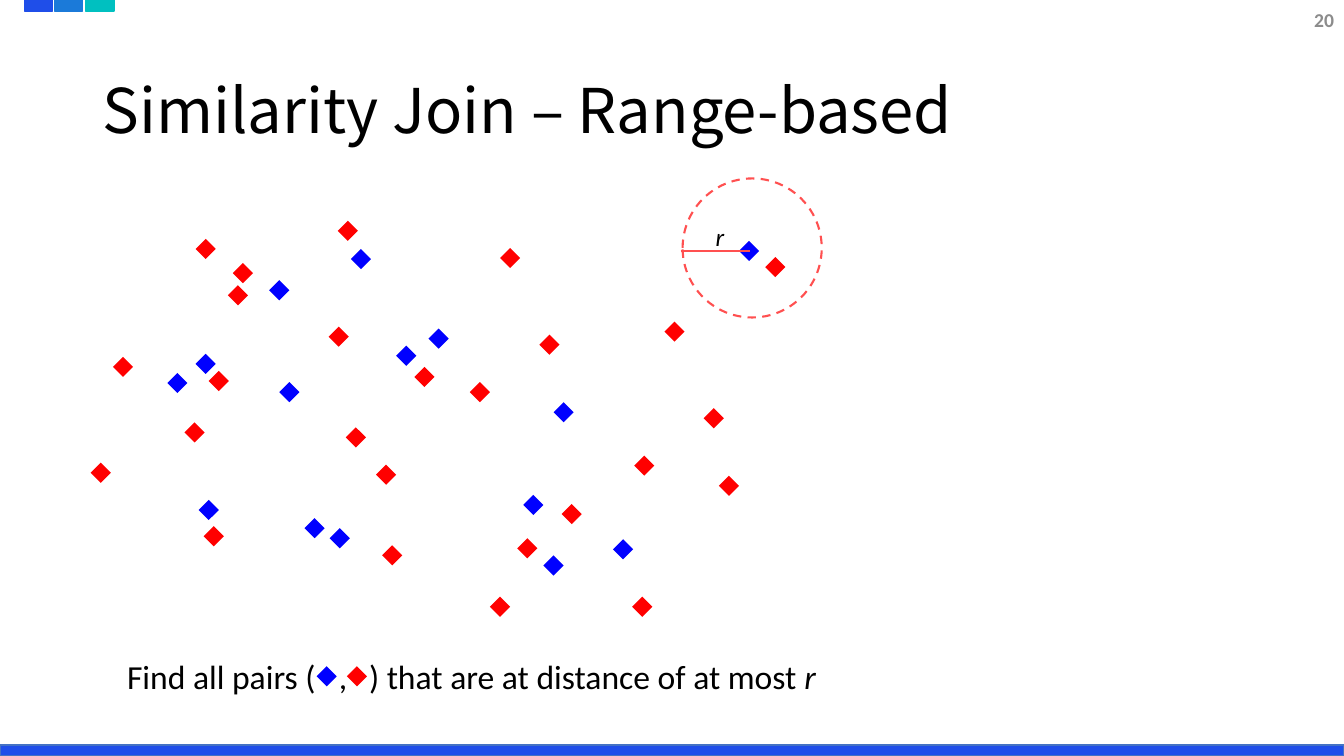
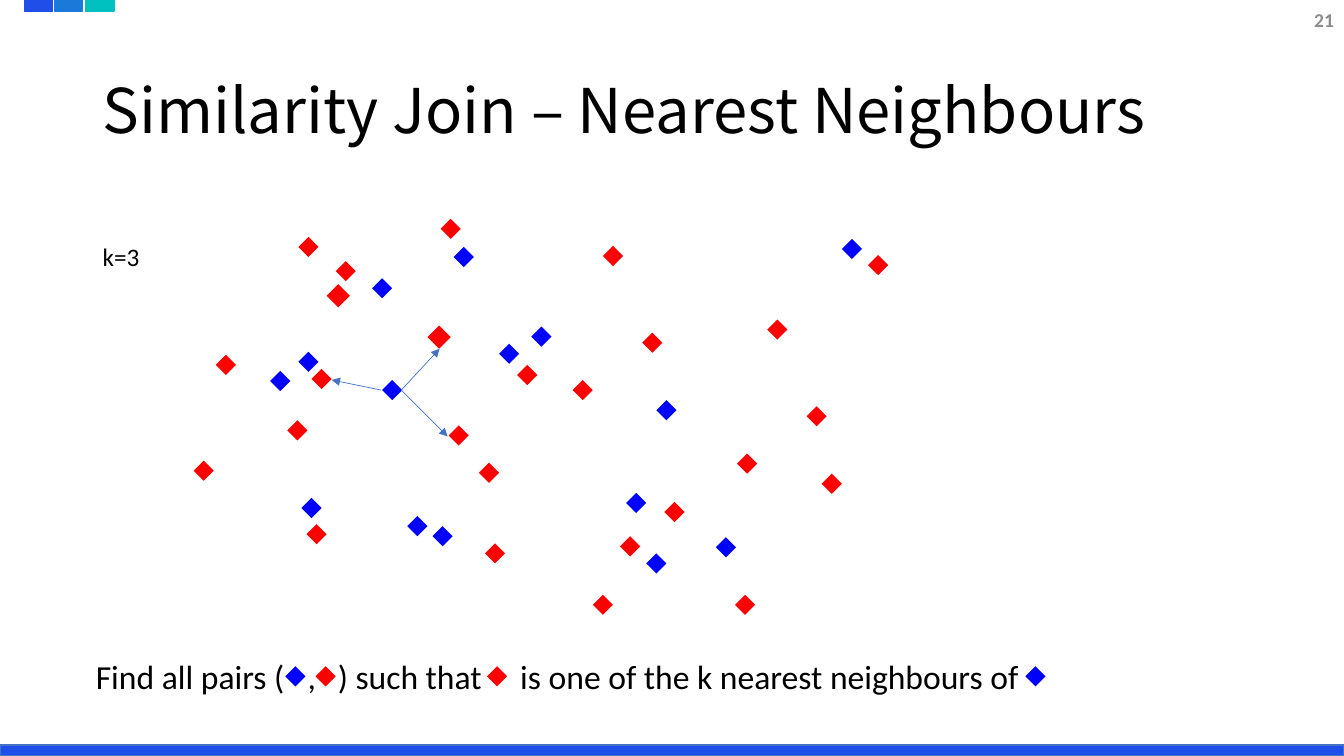
from lxml import etree
from pptx import Presentation
from pptx.dml.color import RGBColor
from pptx.enum.dml import MSO_LINE
from pptx.enum.shapes import MSO_CONNECTOR, MSO_SHAPE
from pptx.enum.text import MSO_ANCHOR, MSO_AUTO_SIZE, PP_ALIGN
from pptx.oxml.ns import qn
from pptx.util import Inches, Pt

RECT, DIAMOND, CIRCLE = MSO_SHAPE.RECTANGLE, MSO_SHAPE.DIAMOND, MSO_SHAPE.OVAL
STRAIGHT, DASH = MSO_CONNECTOR.STRAIGHT, MSO_LINE.DASH
TOP, MIDDLE = MSO_ANCHOR.TOP, MSO_ANCHOR.MIDDLE
LEFT, RIGHT = PP_ALIGN.LEFT, PP_ALIGN.RIGHT
GROW = MSO_AUTO_SIZE.SHAPE_TO_FIT_TEXT

COLORS = {
    "text": "000000", "number": "8C8C8C",
    "band": "1F4EE9", "band_edge": "4472C4", "mid_tab": "1B7AD9", "teal_tab": "00C0C0",
    "red": "FF0000", "blue": "0000FF", "range": "FF5050", "arrow": "4472C4",
}
TITLE_FONT, BODY_FONT = "Noto Sans CJK KR", "Calibri"

# Shared bands: place, fill, edge
BANDS = [
    ((0, 7.39, 13.33, 0.11), "band", "band_edge"),
    ((0.24, 0, 0.28, 0.11), "band", "band"),
    ((0.54, 0, 0.28, 0.11), "mid_tab", "mid_tab"),
    ((0.85, 0, 0.28, 0.11), "teal_tab", "teal_tab"),
]

# Scatter of the two sets: left and top of each marker
MARKER = 0.2
POINTS = {
    "red": [
        (1.12, 3.54), (1.83, 4.19), (0.9, 4.59), (4.11, 3.64), (3.35, 2.19),
        (2.02, 5.22), (2.07, 3.68), (2.26, 2.83), (5.13, 5.34), (3.79, 5.41),
        (3.73, 4.61), (1.94, 2.37), (2.31, 2.61), (3.26, 3.24), (3.43, 4.24),
        (4.86, 5.92), (4.66, 3.79), (4.96, 2.46), (5.57, 5), (5.35, 3.32),
        (6.27, 5.92), (7.13, 4.72), (6.29, 4.52), (6.59, 3.19), (6.98, 4.05),
        (7.59, 2.55),
    ],
    "blue": [
        (1.66, 3.7), (1.97, 4.96), (3.02, 5.14), (2.67, 2.78), (5.49, 3.99),
        (3.48, 2.47), (1.94, 3.51), (3.93, 3.43), (2.77, 3.79), (3.27, 5.24),
        (4.25, 3.26), (5.39, 5.51), (5.19, 4.91), (6.08, 5.35), (7.33, 2.39),
    ],
}

# Captions: tabs leave room for the inline markers
CAPTION_TOP, MARKER_TOP = 6.48, 6.61
RANGE = {
    "title": "Similarity Join – Range-based", "number": "20",
    "caption": ["Find all pairs (\t,\t) that are at distance of at most ", "r"],
    "caption_left": 1.23, "caption_width": 7.62, "tabs": [2.1, 2.4],
    "inline": [(1.91, "blue"), (2.21, "red")],
    "shift": (0, 0), "large": {},
}
NEIGHBOURS = {
    "title": "Similarity Join – Nearest Neighbours", "number": "21",
    "caption": ["Find all pairs (\t,\t) such that\tis one of the k nearest neighbours of"],
    "caption_left": 0.92, "caption_width": 9.99, "tabs": [2.1, 2.4, 4.21],
    "inline": [(1.91, "blue"), (2.21, "red"), (3.91, "red"), (9.25, "blue")],
    "shift": (1.02, -0.02),
    "large": {(2.26, 2.83): (3.24, 2.82, 0.23), (3.26, 3.24): (4.24, 3.23, 0.23)},
}
# Arrows from the query point to its neighbours
ARROWS = [
    ((3.78, 3.87), (3.29, 3.77)),
    ((3.98, 3.87), (4.36, 3.46)),
    ((3.98, 3.87), (4.44, 4.33)),
]


def rgb(name):
    return RGBColor.from_string(COLORS[name])


def add_figure(slide, kind, place, fill=None, edge=None, weight=1):
    figure = slide.shapes.add_shape(kind, *map(Inches, place))
    figure.shadow.inherit = False
    if fill:
        figure.fill.solid()
        figure.fill.fore_color.rgb = rgb(fill)
    else:
        figure.fill.background()
    if edge:
        figure.line.color.rgb = rgb(edge)
        figure.line.width = Pt(weight)
    else:
        figure.line.fill.background()
    return figure


def add_marker(slide, color, left, top, size=MARKER):
    add_figure(slide, DIAMOND, (left, top, size, size), color)


def add_line(slide, start, end, color, weight, arrow=False):
    line = slide.shapes.add_connector(STRAIGHT, *map(Inches, start + end))
    line.line.color.rgb = rgb(color)
    line.line.width = Pt(weight)
    if arrow:
        etree.SubElement(line.line._get_or_add_ln(), qn("a:tailEnd"), type="triangle")
    etree.SubElement(line._element.spPr, qn("a:effectLst"))


def add_text(slide, place, runs, size, font=BODY_FONT, color="text", anchor=MIDDLE,
             align=LEFT, wrap=True, tabs=()):
    box = slide.shapes.add_textbox(*map(Inches, place))
    frame = box.text_frame
    frame.word_wrap = wrap
    frame.vertical_anchor = anchor
    paragraph = frame.paragraphs[0]
    paragraph.alignment = align
    if tabs:
        stops = etree.SubElement(paragraph._p.get_or_add_pPr(), qn("a:tabLst"))
        for stop in tabs:
            etree.SubElement(stops, qn("a:tab"), pos=str(Inches(stop)), algn="l")
    for text in runs:
        run = paragraph.add_run()
        run.text = text
        run.font.size = Pt(size)
        run.font.name = font
        run.font.color.rgb = rgb(color)
    return frame


def add_base(deck, content):
    """Bands, title, number, caption and scatter found on every slide."""
    slide = deck.slides.add_slide(deck.slide_layouts[6])
    for place, fill, edge in BANDS:
        add_figure(slide, RECT, place, fill, edge)
    title = add_text(slide, (0.92, 0.4, 11.5, 1.45), [content["title"]], 44, TITLE_FONT)
    title.paragraphs[0].line_spacing = 0.9
    number = add_text(slide, (10.33, 0, 3, 0.4), [content["number"]], 14,
                      color="number", align=RIGHT)
    number.paragraphs[0].runs[0].font.bold = True

    # Caption with its inline markers
    left = content["caption_left"]
    caption = add_text(slide, (left, CAPTION_TOP, content["caption_width"], 0.46),
                       content["caption"], 24, tabs=content["tabs"])
    caption.margin_left = caption.margin_right = Inches(0.03)
    caption.margin_top = caption.margin_bottom = Inches(0.03)
    caption.auto_size = GROW
    for run in caption.paragraphs[0].runs[1:]:
        run.font.italic = True
    for offset, color in content["inline"]:
        add_marker(slide, color, left + offset, MARKER_TOP)

    # Scatter
    dx, dy = content["shift"]
    for color, points in POINTS.items():
        for x, y in points:
            add_marker(slide, color, *content["large"].get((x, y), (x + dx, y + dy)))
    return slide


def add_label(slide, place, text):
    label = add_text(slide, place, [text], 18, anchor=TOP, wrap=False)
    label.auto_size = GROW
    return label


def build_range(deck):
    slide = add_base(deck, RANGE)
    circle = add_figure(slide, CIRCLE, (6.77, 1.77, 1.38, 1.38), edge="range", weight=1.5)
    circle.line.dash_style = DASH
    add_line(slide, (6.75, 2.49), (7.44, 2.49), "range", 1.5)
    radius = add_label(slide, (7, 2.15, 0.29, 0.4), "r")
    radius.paragraphs[0].runs[0].font.italic = True


def build_neighbours(deck):
    slide = add_base(deck, NEIGHBOURS)
    for start, end in ARROWS:
        add_line(slide, start, end, "arrow", 0.5, arrow=True)
    add_label(slide, (0.92, 2.34, 0.57, 0.4), "k=3")


def main():
    deck = Presentation()
    deck.slide_width, deck.slide_height = Inches(13.33), Inches(7.5)
    build_range(deck)
    build_neighbours(deck)
    deck.save("out.pptx")


if __name__ == "__main__":
    main()
